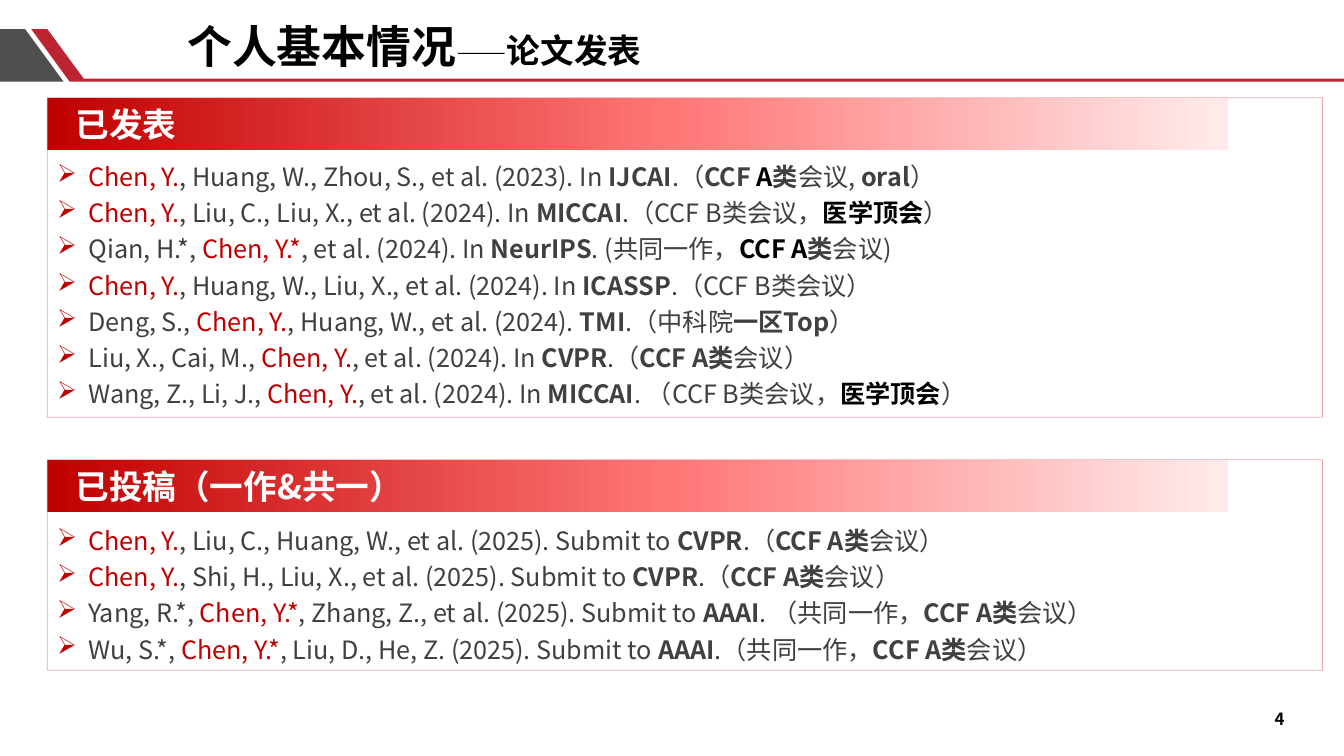
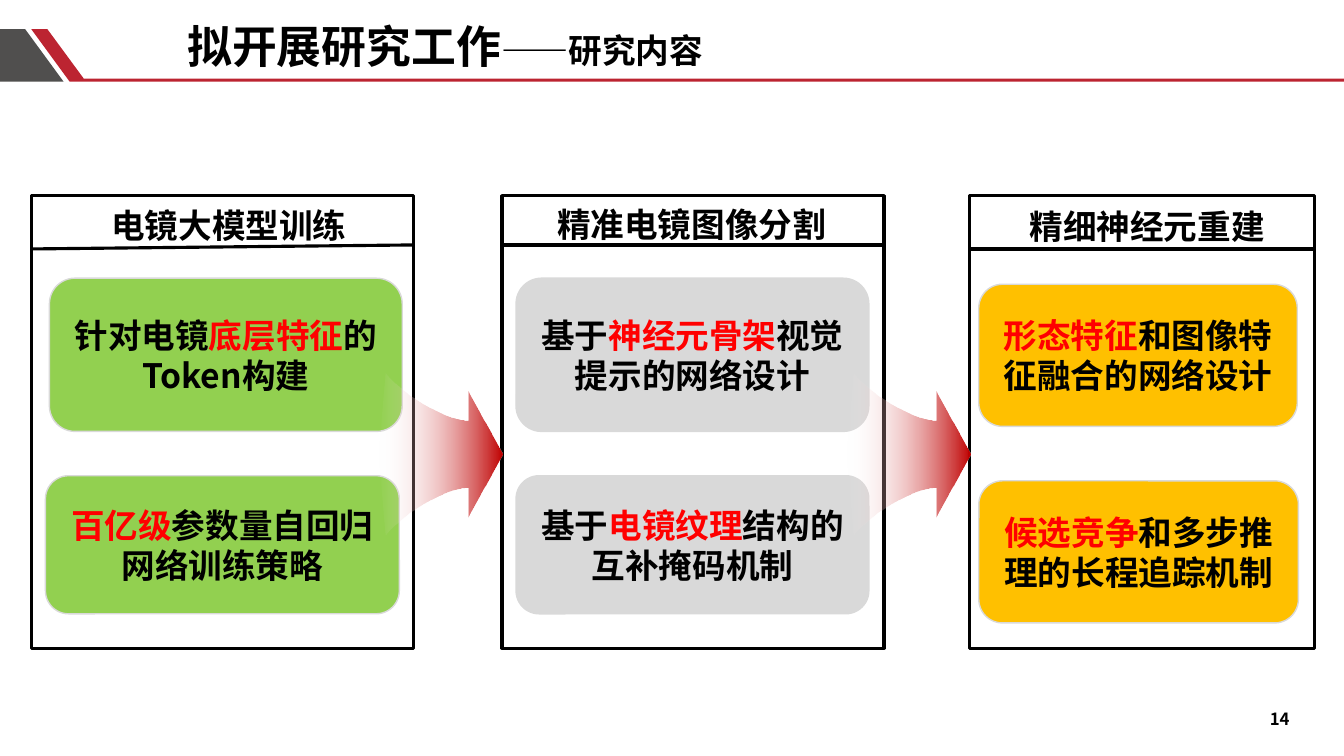
from dataclasses import dataclass
from typing import NamedTuple

from lxml.etree import SubElement
from pptx import Presentation
from pptx.dml.color import RGBColor
from pptx.enum.shapes import MSO_CONNECTOR, MSO_SHAPE
from pptx.enum.text import MSO_ANCHOR, PP_ALIGN
from pptx.oxml.ns import qn
from pptx.util import Inches, Pt

WIDTH, HEIGHT = Inches(13.333), Inches(7.5)
FONT = "Noto Sans CJK SC"
BLACK = RGBColor(0, 0, 0)
WHITE = RGBColor(255, 255, 255)
INK = RGBColor(0x40, 0x40, 0x40)
DEEP_RED = RGBColor(0xC0, 0, 0)
BRIGHT_RED = RGBColor(0xFF, 0, 0)
HEADER_RED = RGBColor(0xBC, 0x24, 0x31)
HEADER_GRAY = RGBColor(0x50, 0x4F, 0x4E)
ROSE = RGBColor(0xFF, 0x77, 0x77)
BLUSH = RGBColor(0xFF, 0xE9, 0xE9)
GREEN = RGBColor(0x92, 0xD0, 0x50)
SILVER = RGBColor(0xD9, 0xD9, 0xD9)
AMBER = RGBColor(0xFF, 0xC0, 0)


class Area(NamedTuple):
    """Left, top, width and height in percent of the slide."""
    left: float
    top: float
    width: float
    height: float

    def lengths(self) -> tuple[int, int, int, int]:
        return across(self.left), down(self.top), across(self.width), down(self.height)


class Span(NamedTuple):
    text: str
    size: float
    color: RGBColor = BLACK
    bold: bool = True


class Stop(NamedTuple):
    position: int
    color: RGBColor
    opacity: int = 100


@dataclass
class Section:
    heading: str
    top: float
    height: float
    text_top: float
    papers: list[str]


@dataclass
class Card:
    area: Area
    text: str


@dataclass
class Stage:
    heading: str
    heading_area: Area
    frame: Area
    rule_left: float
    rule_right: float
    color: RGBColor
    cards: list[Card]


MARKS = {
    "~": {"color": DEEP_RED, "bold": False},
    "^": {"color": INK, "bold": True},
    "#": {"color": BLACK, "bold": True},
    "!": {"color": BRIGHT_RED, "bold": True},
}
PLAIN = {"color": INK, "bold": False}

SECTIONS = [
    Section("已投稿（一作&共一）", 60.8, 27.87, 68, [
        "~Chen, Y.|, Liu, C., Huang, W., et al. (2025). Submit to |^CVPR|.（|^CCF A类|会议）",
        "~Chen, Y.|, Shi, H., Liu, X., et al. (2025). Submit to |^CVPR|.（|^CCF A类|会议）",
        "Yang, R.*, |~Chen, Y.*|, Zhang, Z., et al. (2025). Submit to |^AAAI|. （共同一作，|^CCF A类|会议）",
        "Wu, S.*, |~Chen, Y.*|, Liu, D., He, Z. (2025). Submit to |^AAAI|.（共同一作，|^CCF A类|会议）",
    ]),
    Section("已发表", 12.93, 42.27, 19.87, [
        "~Chen, Y.|, Huang, W., Zhou, S., et al. (2023). In |^IJCAI|.（|^CCF|# A|^类|会议, |^oral|）",
        "~Chen, Y.|, Liu, C., Liu, X., et al. (2024). In |^MICCAI|.（CCF B类会议，|#医学顶会|）",
        "Qian, H.*, |~Chen, Y.*|, et al. (2024). In |^NeurIPS|. (共同一作，|#CCF A|^类|会议)",
        "~Chen, Y.|, Huang, W., Liu, X., et al. (2024). In |^ICASSP|.（CCF B类会议）",
        "Deng, S., |~Chen, Y.|, Huang, W., et al. (2024). |^TMI|.（中科院|^一区Top|）",
        "Liu, X., Cai, M., |~Chen, Y.|, et al. (2024). In |^CVPR|.（|^CCF A类|会议）",
        "Wang, Z., Li, J., |~Chen, Y.|, et al. (2024). In |^MICCAI|. （CCF B类会议，|#医学顶会|）",
    ]),
]

STAGES = [
    Stage("电镜大模型训练", Area(4.43, 26.4, 25.2, 6.67), Area(2.33, 25.87, 28.43, 59.87),
          32.93, 32.4, GREEN, [
              Card(Area(3.68, 36.8, 26.25, 20.27), "#针对电镜|!底层特征|#的Token构建"),
              Card(Area(3.38, 62.93, 26.33, 18.27), "!百亿级|#参数量自回归网络训练策略"),
          ]),
    Stage("精准电镜图像分割", Area(40.28, 26.27, 22.35, 6.67), Area(37.35, 25.87, 28.43, 59.87),
          32.4, 32.4, SILVER, [
              Card(Area(38.4, 36.8, 26.25, 20.27), "#基于|!神经元骨架|#视觉提示的网络设计"),
              Card(Area(38.4, 62.93, 26.25, 18.27), "#基于|!电镜纹理|#结构的互补掩码机制"),
          ]),
    Stage("精细神经元重建", Area(75.83, 26.53, 19.05, 6.67), Area(72.15, 25.87, 25.65, 59.87),
          32.93, 32.93, AMBER, [
              Card(Area(72.83, 37.6, 23.7, 18.8), "!形态特征|#和图像特征融合的网络设计"),
              Card(Area(72.83, 63.6, 23.78, 18.8), "!候选竞争|#和多步推理的长程追踪机制"),
          ]),
]

ARROWS = [Area(left, 49.47, 9.23, 21.2) for left in (28.13, 63)]
RED_BAND = [(6.45, 10.8), (5.18, 10.8), (2.33, 3.87), (3.53, 3.87),
            (6.23, 10.4), (100, 10.4), (100, 10.8)]
GRAY_BAND = [(0, 3.87), (1.88, 3.87), (4.73, 10.8), (0, 10.8)]


def across(share: float) -> int:
    return round(WIDTH * share / 100)


def down(share: float) -> int:
    return round(HEIGHT * share / 100)


def marked_spans(text: str, size: float) -> list[Span]:
    return [Span(part[1:], size, **MARKS[part[0]]) if part[0] in MARKS
            else Span(part, size, **PLAIN) for part in text.split("|")]


def write(para, spans: list[Span]) -> None:
    for span in spans:
        run = para.add_run()
        run.text = span.text
        formats = {"name": FONT, "size": Pt(span.size), "bold": span.bold}
        for name, value in formats.items():
            setattr(run.font, name, value)
        run.font.color.rgb = span.color
        SubElement(run.font._element, qn("a:ea"), typeface=FONT)


def add_text(page, area: Area, spans: list[Span], align=PP_ALIGN.LEFT):
    box = page.shapes.add_textbox(*area.lengths())
    box.text_frame.word_wrap = True
    para = box.text_frame.paragraphs[0]
    para.alignment = align
    write(para, spans)


def add_bullet(para) -> None:
    properties = para._p.get_or_add_pPr()
    properties.set("marL", str(Inches(0.31)))
    properties.set("indent", str(-Inches(0.31)))
    color = SubElement(properties, qn("a:buClr"))
    SubElement(color, qn("a:srgbClr"), val=str(DEEP_RED))
    SubElement(properties, qn("a:buChar"), char="➢")


def add_box(page, kind, area: Area, fill=None, line=None, weight: float = 1):
    box = page.shapes.add_shape(kind, *area.lengths())
    box.shadow.inherit = False
    if fill is None:
        box.fill.background()
    else:
        box.fill.solid()
        box.fill.fore_color.rgb = fill
    if line is None:
        box.line.fill.background()
    else:
        box.line.color.rgb = line
        box.line.width = Pt(weight)
    return box


def fill_gradient(shape, stops: list[Stop]) -> None:
    shape.fill.gradient()
    shape.fill.gradient_angle = 0
    stop_list = shape._element.spPr.find(qn("a:gradFill")).find(qn("a:gsLst"))
    for old in list(stop_list):
        stop_list.remove(old)
    for stop in stops:
        item = SubElement(stop_list, qn("a:gs"), pos=str(stop.position * 1000))
        color = SubElement(item, qn("a:srgbClr"), val=str(stop.color))
        if stop.opacity < 100:
            SubElement(color, qn("a:alpha"), val=str(stop.opacity * 1000))


def add_outline(page, points: list[tuple[float, float]], fill: RGBColor):
    corners = [(across(x), down(y)) for x, y in points]
    builder = page.shapes.build_freeform(*corners[0], scale=1.0)
    builder.add_line_segments(corners[1:], close=True)
    shape = builder.convert_to_shape()
    shape.shadow.inherit = False
    shape.fill.solid()
    shape.fill.fore_color.rgb = fill
    shape.line.fill.background()
    return shape


def add_arrow(page, area: Area) -> None:
    controls = ((0.72, 0.29), (0.59, 0.3), (0.23, 0.16), (0.06, 0))
    steps = 16
    curve = []
    for step in range(steps + 1):
        t = step / steps
        weights = ((1 - t) ** 3, 3 * t * (1 - t) ** 2, 3 * t * t * (1 - t), t ** 3)
        curve.append(tuple(sum(weight * point[axis] for weight, point in zip(weights, controls))
                           for axis in (0, 1)))
    upper = [(0.72, 0.11), *curve]
    lower = [(x, 1 - y) for x, y in reversed(upper)]
    points = [(area.left + x * area.width, area.top + y * area.height)
              for x, y in [(1, 0.5), *upper, (0, 0.5), *lower]]
    arrow = add_outline(page, points, DEEP_RED)
    fill_gradient(arrow, [Stop(0, WHITE, 0), Stop(100, DEEP_RED)])


def add_rule(page, start: tuple[float, float], end: tuple[float, float]) -> None:
    rule = page.shapes.add_connector(MSO_CONNECTOR.STRAIGHT, across(start[0]), down(start[1]),
                                     across(end[0]), down(end[1]))
    rule.line.color.rgb = BLACK
    rule.line.width = Pt(2.25)
    SubElement(rule._element.spPr, qn("a:effectLst"))


def add_page(deck, number: int, title: list[Span]):
    page = deck.slides.add_slide(deck.slide_layouts[6])
    add_outline(page, RED_BAND, HEADER_RED)
    add_outline(page, GRAY_BAND, HEADER_GRAY)
    add_text(page, Area(92.55, 93.07, 5.33, 4), [Span(str(number), 12)], PP_ALIGN.CENTER)
    add_text(page, Area(13.2, 1.87, 78.15, 7.33), title)
    return page


def add_section(page, section: Section) -> None:
    left, width, band_height = 3.52, 94.88, 6.93
    frame = add_box(page, MSO_SHAPE.RECTANGLE, Area(left, section.top, width, section.height),
                    WHITE, DEEP_RED, 0.5)
    line_color = next(frame.line._ln.iter(qn("a:srgbClr")))
    SubElement(line_color, qn("a:alpha"), val="34000")
    band = add_box(page, MSO_SHAPE.RECTANGLE, Area(left, section.top, 87.82, band_height))
    fill_gradient(band, [Stop(0, DEEP_RED), Stop(53, ROSE), Stop(99, BLUSH)])
    band.text_frame.margin_left = Inches(0.28)
    band.text_frame.vertical_anchor = MSO_ANCHOR.MIDDLE
    band.text_frame.paragraphs[0].alignment = PP_ALIGN.LEFT
    write(band.text_frame.paragraphs[0], [Span(section.heading, 24, WHITE)])
    bottom = section.top + section.height
    box = page.shapes.add_textbox(
        *Area(left, section.text_top, width, bottom - section.text_top).lengths())
    frame = box.text_frame
    frame.word_wrap = True
    for index, paper in enumerate(section.papers):
        para = frame.add_paragraph() if index else frame.paragraphs[0]
        add_bullet(para)
        para.line_spacing = 1.2
        write(para, marked_spans(paper, 18))


def add_stage(page, stage: Stage) -> None:
    frame = stage.frame
    add_box(page, MSO_SHAPE.RECTANGLE, frame, None, BLACK, 2.25)
    add_rule(page, (frame.left + frame.width, stage.rule_right), (frame.left, stage.rule_left))
    add_text(page, stage.heading_area, [Span(stage.heading, 24)], PP_ALIGN.CENTER)
    for card in stage.cards:
        box = add_box(page, MSO_SHAPE.ROUNDED_RECTANGLE, card.area, stage.color, SILVER)
        box.text_frame.word_wrap = True
        box.text_frame.vertical_anchor = MSO_ANCHOR.MIDDLE
        box.text_frame.paragraphs[0].alignment = PP_ALIGN.CENTER
        write(box.text_frame.paragraphs[0], marked_spans(card.text, 24))


def main() -> None:
    deck = Presentation()
    deck.slide_width, deck.slide_height = WIDTH, HEIGHT
    papers = add_page(deck, 4, [Span("个人基本情况", 32), Span("——", 18), Span("论文发表", 24)])
    for section in SECTIONS:
        add_section(papers, section)
    research = add_page(deck, 14, [Span("拟开展研究工作", 32), Span("——研究内容", 24)])
    for stage in STAGES:
        add_stage(research, stage)
    for arrow in ARROWS:
        add_arrow(research, arrow)
    deck.save("out.pptx")


if __name__ == "__main__":
    main()
